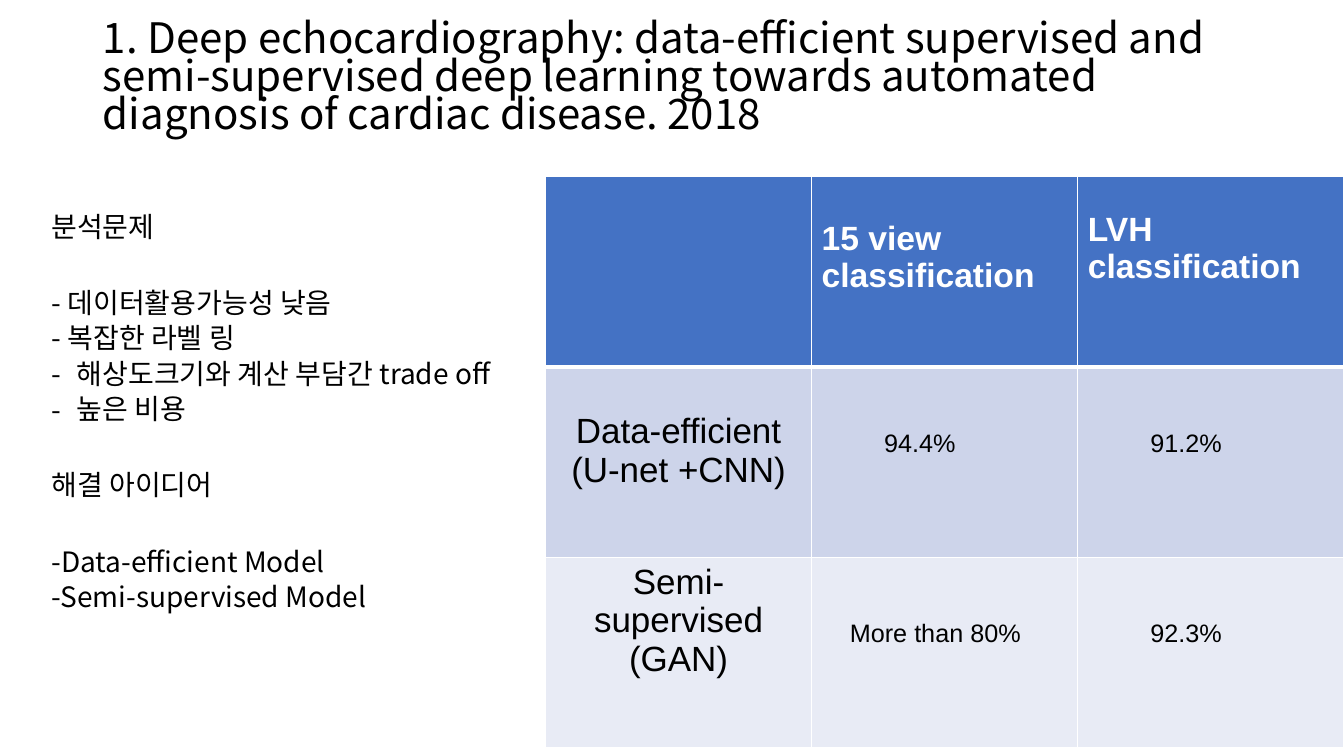
from dataclasses import dataclass

from lxml.etree import SubElement
from pptx import Presentation
from pptx.dml.color import RGBColor
from pptx.enum.text import MSO_ANCHOR as Anchor, MSO_AUTO_SIZE as AutoSize, PP_ALIGN as Align
from pptx.oxml.ns import qn
from pptx.util import Pt

PX = 9144  # EMU per px, 100 px to the inch
BODY_FONT, TABLE_FONT = "Noto Sans CJK KR", "Arial"
BLACK = RGBColor(0x00, 0x00, 0x00)
WHITE = RGBColor(0xFF, 0xFF, 0xFF)
HEADER_BLUE = RGBColor(0x44, 0x72, 0xC4)
BAND_DARK = RGBColor(0xCD, 0xD4, 0xEA)
BAND_LIGHT = RGBColor(0xE8, 0xEB, 0xF5)
ROW_FILLS = (HEADER_BLUE, BAND_DARK, BAND_LIGHT)
COLUMN_WIDTH, ROW_HEIGHT = 264, 189


@dataclass(frozen=True)
class Line:
    text: str
    space_before: float = 6
    bulleted: bool = False


@dataclass(frozen=True)
class CellText:
    text: str
    size: int
    top: int
    left: int = 10
    align: Align = Align.LEFT


SECTION_GAP = 35.3
BODY_LINES = (
    Line("분석문제", 0),
    Line("- 데이터활용가능성 낮음", SECTION_GAP),
    Line("- 복잡한 라벨 링"),
    Line("해상도크기와 계산 부담간 trade off", bulleted=True),
    Line("높은 비용", bulleted=True),
    Line("해결 아이디어", SECTION_GAP),
    Line("-Data-efficient Model", SECTION_GAP),
    Line("-Semi-supervised Model"),
)

RESULTS = (
    (CellText("", 24, 5),
     CellText("15 view classification", 24, 43),
     CellText("LVH classification", 24, 34)),
    (CellText("Data-efficient\n(U-net +CNN)", 25, 45, align=Align.CENTER),
     CellText("94.4%", 18, 62, 72),
     CellText("91.2%", 18, 62, 72)),
    (CellText("Semi-supervised\n(GAN)", 25, 5, align=Align.CENTER),
     CellText("More than 80%", 18, 62, 38),
     CellText("92.3%", 18, 62, 72)),
)


def place(shape, left: int, top: int, width: int, height: int) -> None:
    shape.left, shape.top = left * PX, top * PX
    shape.width, shape.height = width * PX, height * PX


def format_runs(paragraph, font: str, size: int, color: RGBColor, bold: bool = False) -> None:
    for run in paragraph.runs:
        run.font.name = font
        run.font.size = Pt(size)
        run.font.bold = bold
        run.font.color.rgb = color
        SubElement(run.font._element, qn("a:ea"), typeface=font)


def set_bullet(paragraph, bulleted: bool) -> None:
    properties = paragraph._p.get_or_add_pPr()
    indent = 25 * PX if bulleted else 0
    properties.set("marL", str(indent))
    properties.set("indent", str(-indent))
    if bulleted:
        SubElement(properties, qn("a:buFont"), typeface=BODY_FONT)
        SubElement(properties, qn("a:buChar"), char="-")
    else:
        SubElement(properties, qn("a:buNone"))


def set_borders(cell, bottom: int, top: int) -> None:
    properties = cell._tc.get_or_add_tcPr()
    widths = {"a:lnL": 1, "a:lnR": 1, "a:lnT": top, "a:lnB": bottom}
    for tag, width in widths.items():
        border = SubElement(properties, qn(tag), w=str(Pt(width)))
        fill = SubElement(border, qn("a:solidFill"))
        SubElement(fill, qn("a:srgbClr"), val=str(WHITE))


def add_title(slide) -> None:
    title = slide.shapes.title
    place(title, 92, 7, 1150, 145)
    text_frame = title.text_frame
    text_frame.text = ("1. Deep echocardiography: data-efficient supervised and semi-supervised "
                       "deep learning towards automated diagnosis of cardiac disease. 2018")
    text_frame.auto_size = AutoSize.NONE
    text_frame.vertical_anchor = Anchor.MIDDLE
    paragraph = text_frame.paragraphs[0]
    paragraph.alignment = Align.LEFT
    paragraph.line_spacing = 0.75
    format_runs(paragraph, BODY_FONT, 30, BLACK)


def add_body(slide) -> None:
    body = slide.placeholders[1]
    place(body, 41, 152, 1201, 523)
    text_frame = body.text_frame
    text_frame.text = "\n".join(line.text for line in BODY_LINES)
    text_frame.auto_size = AutoSize.NONE
    text_frame.margin_top = 62 * PX
    for paragraph, line in zip(text_frame.paragraphs, BODY_LINES):
        paragraph.line_spacing = 0.8
        paragraph.space_before = Pt(line.space_before)
        set_bullet(paragraph, line.bulleted)
        format_runs(paragraph, BODY_FONT, 20, BLACK)


def fill_cell(cell, content: CellText, row: int) -> None:
    is_header = row == 0
    set_borders(cell, bottom=3 if is_header else 1, top=3 if row == 1 else 1)
    cell.fill.solid()
    cell.fill.fore_color.rgb = ROW_FILLS[row]
    cell.margin_top, cell.margin_left = content.top * PX, content.left * PX
    cell.text_frame.text = content.text
    for paragraph in cell.text_frame.paragraphs:
        paragraph.alignment = content.align
        format_runs(paragraph, TABLE_FONT, content.size, WHITE if is_header else BLACK, is_header)


def add_results_table(slide) -> None:
    rows, columns = len(RESULTS), len(RESULTS[0])
    table = slide.shapes.add_table(rows, columns, 541 * PX, 175 * PX,
                                   columns * COLUMN_WIDTH * PX, rows * ROW_HEIGHT * PX).table
    table.horz_banding = False
    for column in table.columns:
        column.width = COLUMN_WIDTH * PX
    for row_index, contents in enumerate(RESULTS):
        table.rows[row_index].height = ROW_HEIGHT * PX
        for column_index, content in enumerate(contents):
            fill_cell(table.cell(row_index, column_index), content, row_index)


def main() -> None:
    presentation = Presentation()
    presentation.slide_width, presentation.slide_height = 1333 * PX, 750 * PX
    slide = presentation.slides.add_slide(presentation.slide_layouts[1])
    # Heading and notes
    add_title(slide)
    add_body(slide)
    # Accuracy by model
    add_results_table(slide)
    presentation.save("out.pptx")


if __name__ == "__main__":
    main()
